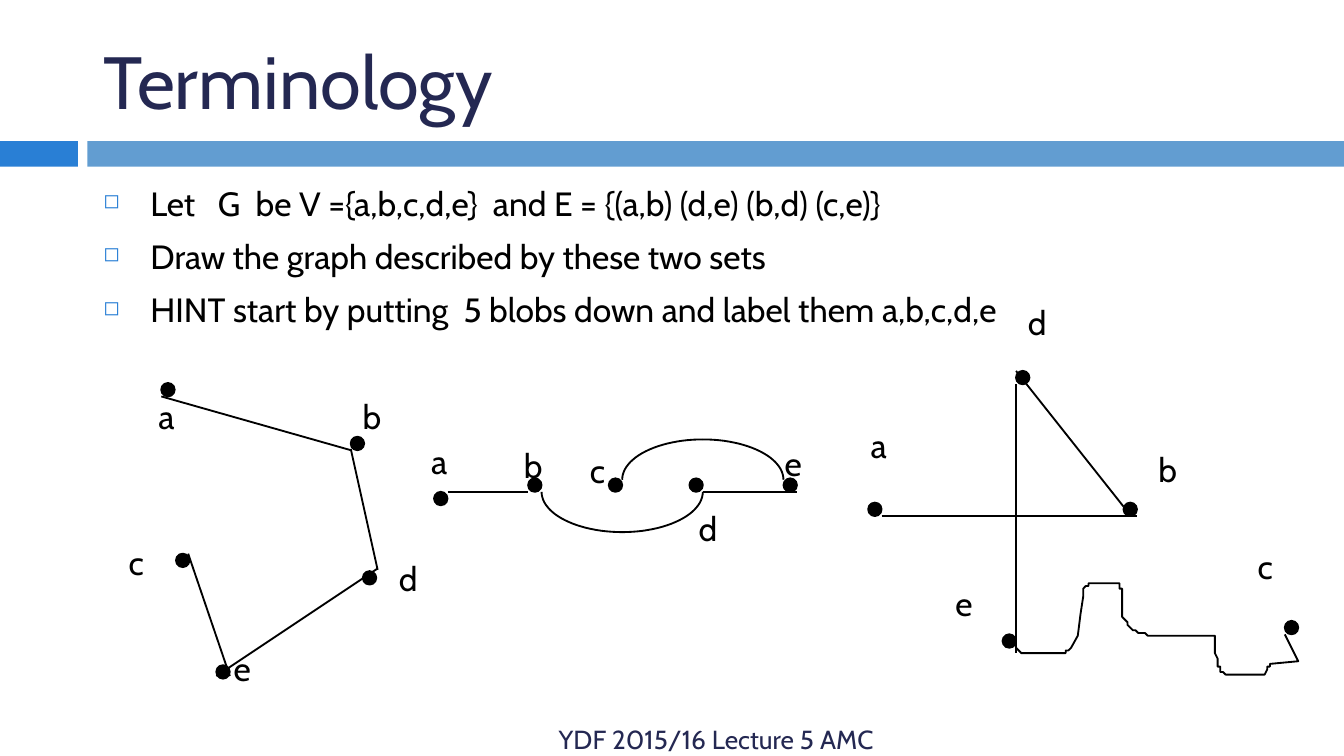
import math

from lxml import etree
from pptx import Presentation
from pptx.dml.color import RGBColor
from pptx.enum.shapes import MSO_CONNECTOR, MSO_SHAPE
from pptx.enum.text import MSO_ANCHOR, MSO_AUTO_SIZE, PP_ALIGN
from pptx.oxml.ns import qn
from pptx.util import Inches, Pt

RECTANGLE, OVAL = MSO_SHAPE.RECTANGLE, MSO_SHAPE.OVAL
STRAIGHT = MSO_CONNECTOR.STRAIGHT
MIDDLE, TOP = MSO_ANCHOR.MIDDLE, MSO_ANCHOR.TOP
LEFT, RIGHT = PP_ALIGN.LEFT, PP_ALIGN.RIGHT
NO_RESIZE, GROW = MSO_AUTO_SIZE.NONE, MSO_AUTO_SIZE.SHAPE_TO_FIT_TEXT

FONT = "Cabin"
BLACK, NAVY, BLUE, LIGHT_BLUE = "000000", "242852", "297FD5", "629DD1"
DOT = 0.1
ARC_STEPS = 24

BULLETS = [
    "Let   G  be V ={a,b,c,d,e}  and E = {(a,b) (d,e) (b,d) (c,e)}",
    "Draw the graph described by these two sets",
    "HINT start by putting  5 blobs down and label them a,b,c,d,e",
]

POLYGON_GRAPH = {
    "dots": [(0.4, 0.05), (0.81, 2.15), (1.9, 1.45), (0.51, 1.32), (1.81, 0.45)],
    "edges": [(0.4, 0.15, 1.81, 0.55), (0.81, 2.23, 2.01, 1.43),
              (1.81, 0.54, 2.01, 1.44), (0.6, 1.32, 0.91, 2.23)],
    "labels": {"a": (0.28, 0.1), "b": (1.8, 0.1), "d": (2.07, 1.3),
               "e": (0.84, 1.97), "c": (0.06, 1.18)},
}


def quarter_arc(center_x, center_y, start):
    """Return the points of a quarter ellipse from the start angle in degrees."""
    angles = [math.radians(start + 90 * i / ARC_STEPS) for i in range(ARC_STEPS + 1)]
    return [(center_x + 0.6 * math.cos(t), center_y + 0.3 * math.sin(t)) for t in angles]


ROW_GRAPH = {
    "dots": [(0.23, 0.66), (0.93, 0.56), (2.83, 0.56), (2.13, 0.56), (1.53, 0.56)],
    "edges": [(0.33, 0.66, 0.93, 0.66), (2.23, 0.66, 2.93, 0.66)],
    "curves": [quarter_arc(1.63, 0.66, 90), quarter_arc(1.63, 0.66, 0),
               quarter_arc(2.23, 0.57, 180), quarter_arc(2.23, 0.57, 270)],
    "labels": {"a": (0.11, 0.23), "b": (0.8, 0.26), "d": (2.1, 0.73),
               "e": (2.74, 0.25), "c": (1.29, 0.3)},
}

CROSSING_GRAPH = {
    "dots": [(1.56, 0.76), (3.56, 2.62), (2.36, 1.74), (1.46, 2.72), (0.46, 1.74)],
    "edges": [(1.56, 0.86, 1.56, 2.86), (0.56, 1.84, 2.46, 1.84),
              (1.56, 0.76, 2.36, 1.77)],
    "curves": [[
        (1.56, 2.82), (1.6, 2.86), (1.93, 2.86), (1.93, 2.84), (1.95, 2.84),
        (1.97, 2.82), (2.02, 2.73), (2.04, 2.57), (2.06, 2.44), (2.06, 2.38),
        (2.08, 2.36), (2.1, 2.36), (2.1, 2.34), (2.33, 2.34), (2.33, 2.38),
        (2.35, 2.38), (2.35, 2.59), (2.39, 2.63), (2.39, 2.65), (2.43, 2.69),
        (2.45, 2.69), (2.47, 2.71), (2.52, 2.71), (2.54, 2.73), (3.04, 2.73),
        (3.04, 2.86), (3.06, 2.9), (3.06, 2.96), (3.08, 2.96), (3.08, 3),
        (3.1, 3), (3.12, 3.02), (3.41, 3.02), (3.43, 2.98), (3.43, 2.96),
        (3.45, 2.96), (3.45, 2.94), (3.66, 2.92), (3.56, 2.72),
    ]],
    "labels": {"a": (0.38, 1.11), "b": (2.52, 1.29), "d": (1.55, 0.2),
               "e": (1.01, 2.29), "c": (3.26, 2.01)},
}


def rgb(value):
    """Turn a hex string into a colour."""
    return RGBColor.from_string(value)


def style_text(frame, size, color, anchor=TOP, align=LEFT, fit=NO_RESIZE):
    """Format all the text of a frame."""
    frame.word_wrap = True
    frame.auto_size = fit
    frame.vertical_anchor = anchor
    for paragraph in frame.paragraphs:
        paragraph.alignment = align
        for run in paragraph.runs:
            run.font.name = FONT
            run.font.size = Pt(size)
            run.font.color.rgb = rgb(color)


def add_text(shapes, box, text, size, color, **options):
    """Add a text box and return its frame."""
    frame = shapes.add_textbox(*map(Inches, box)).text_frame
    frame.text = text
    style_text(frame, size, color, **options)
    return frame


def add_filled(shapes, kind, box, color):
    """Add a filled preset shape and return it."""
    shape = shapes.add_shape(kind, *map(Inches, box))
    shape.shadow.inherit = False
    shape.fill.solid()
    shape.fill.fore_color.rgb = rgb(color)
    shape.line.fill.background()
    return shape


def set_outline(shape):
    """Give a shape the thin black line of the graphs."""
    shape.line.color.rgb = rgb(BLACK)
    shape.line.width = Pt(1)


def add_title(slide, box):
    """Place and format the title placeholder."""
    title = slide.shapes.title
    title.left, title.top, title.width, title.height = map(Inches, box)
    title.text_frame.text = "Terminology"
    style_text(title.text_frame, 39.6, NAVY, anchor=MIDDLE)


def add_band(slide, left, top, width, height):
    """Draw the two-part band under the title."""
    tab, gap = 0.58, 0.07
    add_filled(slide.shapes, RECTANGLE, (left, top, tab, height), BLUE)
    start = tab + gap
    add_filled(slide.shapes, RECTANGLE, (left + start, top, width - start, height), LIGHT_BLUE)


def add_bullets(slide, box):
    """Write the bulleted exercise."""
    frame = add_text(slide.shapes, box, "\n".join(BULLETS), 18, BLACK)
    for index, paragraph in enumerate(frame.paragraphs):
        properties = paragraph._p.get_or_add_pPr()
        properties.set("marL", str(Inches(0.35)))
        properties.set("indent", str(-Inches(0.35)))
        color = etree.SubElement(properties, qn("a:buClr"))
        etree.SubElement(color, qn("a:srgbClr"), val=BLUE)
        etree.SubElement(properties, qn("a:buSzPct"), val="60000")
        etree.SubElement(properties, qn("a:buChar"), char="◻")
        paragraph.space_before = Pt(7 if index else 0)


def add_graph(slide, left, top, graph):
    """Draw one graph as a group, relative to its top left corner."""
    shapes = slide.shapes.add_group_shape().shapes
    for x1, y1, x2, y2 in graph["edges"]:
        ends = (left + x1, top + y1, left + x2, top + y2)
        edge = shapes.add_connector(STRAIGHT, *map(Inches, ends))
        set_outline(edge)
        etree.SubElement(edge._element.spPr, qn("a:effectLst"))
    for curve in graph.get("curves", []):
        points = [(Inches(left + x), Inches(top + y)) for x, y in curve]
        builder = shapes.build_freeform(*points[0])
        builder.add_line_segments(points[1:], close=False)
        path = builder.convert_to_shape()
        path.shadow.inherit = False
        path.fill.background()
        set_outline(path)
    for x, y in graph["dots"]:
        set_outline(add_filled(shapes, OVAL, (left + x, top + y, DOT, DOT), BLACK))
    for letter, (x, y) in graph["labels"].items():
        add_text(shapes, (left + x, top + y, 0.43, 0.4), letter, 18, BLACK, fit=GROW)


def main():
    """Build the slide and save it."""
    deck = Presentation()
    deck.slide_width = Inches(10)
    deck.slide_height = deck.slide_width * 9 // 16
    slide = deck.slides.add_slide(deck.slide_layouts[5])
    add_band(slide, 0, 1.05, 10, 0.19)
    add_title(slide, (0.67, 0.19, 8.92, 0.81))
    add_text(slide.shapes, (0.67, 5.35, 5.93, 0.3), "YDF 2015/16 Lecture 5 AMC",
             14, NAVY, anchor=MIDDLE, align=RIGHT)
    add_bullets(slide, (0.67, 1.31, 8.92, 3.94))
    add_graph(slide, 0.8, 2.8, POLYGON_GRAPH)
    add_graph(slide, 3, 3, ROW_GRAPH)
    add_graph(slide, 6, 2, CROSSING_GRAPH)
    deck.save("out.pptx")


if __name__ == "__main__":
    main()
